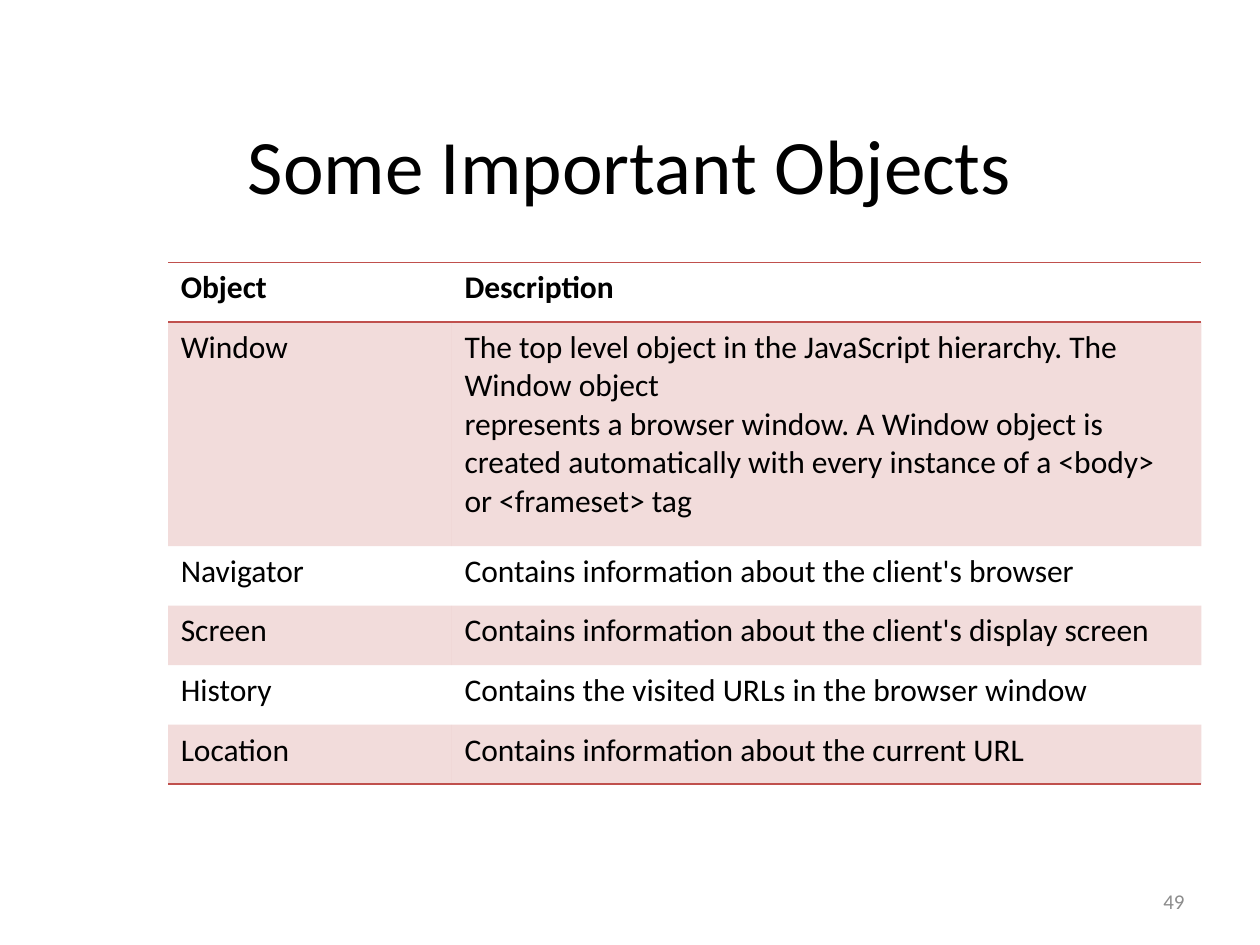
import pptx
import pptx.dml.color
import pptx.enum.text
import pptx.oxml
import pptx.oxml.ns
import pptx.util
from pptx.util import Cm

BLACK = pptx.dml.color.RGBColor(0x00, 0x00, 0x00)
GREY = pptx.dml.color.RGBColor(0x8C, 0x8C, 0x8C)
RED = pptx.dml.color.RGBColor(0xC0, 0x50, 0x4D)
FONT = "Calibri"
PLAIN_TABLE_STYLE = "{2D5ABB26-0587-4C30-8999-92F81FD0307C}"
ALIGN = pptx.enum.text.PP_ALIGN
MIDDLE = pptx.enum.text.MSO_ANCHOR.MIDDLE

ROWS = [
    ("Object", "Description"),
    ("Window", "The top level object in the JavaScript hierarchy. The Window object\n"
     "represents a browser window. A Window object is created automatically "
     "with every instance of a <body> or <frameset> tag"),
    ("Navigator", "Contains information about the client's browser"),
    ("Screen", "Contains information about the client's display screen"),
    ("History", "Contains the visited URLs in the browser window"),
    ("Location", "Contains information about the current URL"),
]


def write(frame, text, size=18, color=BLACK, bold=False, align=ALIGN.LEFT):
    for index, line in enumerate(text.split("\n")):
        para = frame.add_paragraph() if index else frame.paragraphs[0]
        para.alignment = align
        span = para.add_run()
        span.text = line
        span.font.name = FONT
        span.font.size = pptx.util.Pt(size)
        span.font.bold = bold
        span.font.color.rgb = color


def place(shape, left, top, width, height):
    shape.left, shape.top, shape.width, shape.height = left, top, width, height


def add_title(page, box):
    title = page.shapes.title
    place(title, *box)
    title.text_frame.vertical_anchor = MIDDLE
    write(title.text_frame, "Some Important Objects", size=44, align=ALIGN.CENTER)


def add_borders(cell, sides):
    properties = cell._tc.get_or_add_tcPr()
    for position, side in enumerate(sides):
        line = pptx.oxml.parse_xml(
            f'<a:ln{side} {pptx.oxml.ns.nsdecls("a")} w="{pptx.util.Pt(1)}">'
            f'<a:solidFill><a:srgbClr val="{RED}"/></a:solidFill></a:ln{side}>')
        properties.insert(position, line)


def tint(cell, percent):
    cell.fill.solid()
    cell.fill.fore_color.rgb = RED
    color = cell._tc.tcPr.find(".//" + pptx.oxml.ns.qn("a:srgbClr"))
    alpha = pptx.oxml.parse_xml(
        f'<a:alpha {pptx.oxml.ns.nsdecls("a")} val="{percent * 1000}"/>')
    color.append(alpha)


def add_object_table(page, box):
    table = page.shapes.add_table(len(ROWS), 2, *box).table
    table._tbl.tblPr.find(pptx.oxml.ns.qn("a:tableStyleId")).text = PLAIN_TABLE_STYLE
    table.columns[0].width = Cm(5.72)
    table.columns[1].width = box[2] - Cm(5.72)
    last = len(ROWS) - 1
    for row, texts in enumerate(ROWS):
        table.rows[row].height = Cm(4.52) if row == 1 else Cm(1.2)
        sides = {0: "TB", last: "B"}.get(row, "")
        for column, text in enumerate(texts):
            cell = table.cell(row, column)
            write(cell.text_frame, text, bold=row == 0)
            if row % 2:
                tint(cell, 20)
            else:
                cell.fill.background()
            add_borders(cell, sides)


def add_page_number(page, box):
    frame = page.shapes.add_textbox(*box).text_frame
    frame.word_wrap = True
    frame.vertical_anchor = MIDDLE
    write(frame, "49", size=12, color=GREY, align=ALIGN.RIGHT)


deck = pptx.Presentation()
deck.slide_width, deck.slide_height = Cm(25.4), Cm(19.05)
page = deck.slides.add_slide(deck.slide_layouts[5])
add_title(page, (Cm(1.27), Cm(1.7), Cm(22.86), Cm(3.18)))
add_object_table(page, (Cm(3.39), Cm(5.29), Cm(20.83), Cm(10.52)))
add_page_number(page, (Cm(18.2), Cm(17.66), Cm(5.93), Cm(1.01)))
deck.save("out.pptx")
